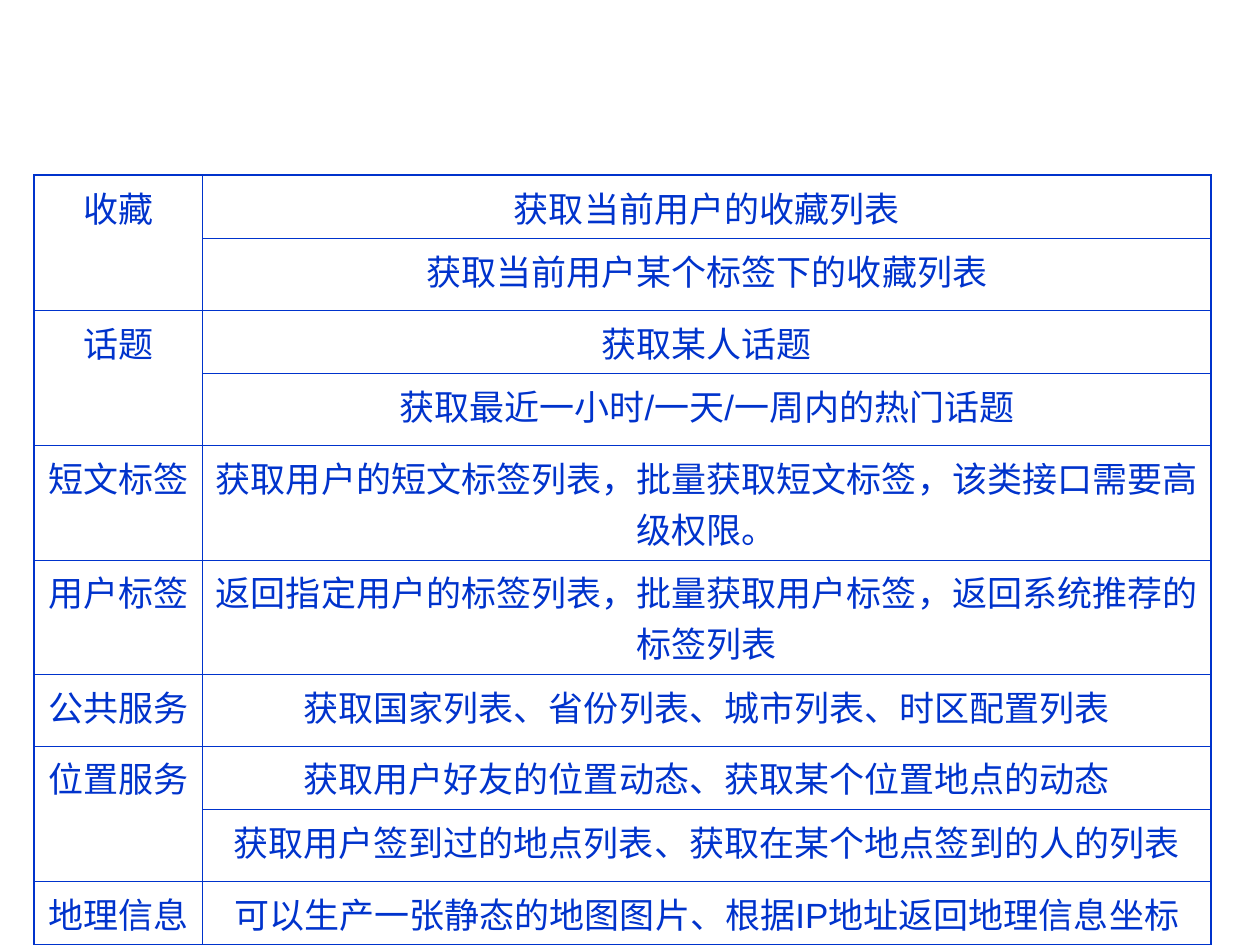
from lxml import etree
from pptx import Presentation
from pptx.dml.color import RGBColor
from pptx.enum.text import PP_ALIGN
from pptx.oxml.ns import qn
from pptx.util import Inches, Pt

CENTER = PP_ALIGN.CENTER
COLORS = {"blue": "0033CC"}
FONT = "Arial"
THIN, THICK = 0.45, 1.08
COLS = [1.34, 8]
ONE, LAST, TWO = 0.44, 0.57, 0.77
GROUPS = [
    ("收藏", [("获取当前用户的收藏列表", ONE),
            ("获取当前用户某个标签下的收藏列表", LAST)]),
    ("话题", [("获取某人话题", ONE),
            ("获取最近一小时/一天/一周内的热门话题", LAST)]),
    ("短文标签", [("获取用户的短文标签列表，批量获取短文标签，该类接口需要高级权限。", TWO)]),
    ("用户标签", [("返回指定用户的标签列表，批量获取用户标签，返回系统推荐的标签列表", TWO)]),
    ("公共服务", [("获取国家列表、省份列表、城市列表、时区配置列表", LAST)]),
    ("位置服务", [("获取用户好友的位置动态、获取某个位置地点的动态", ONE),
              ("获取用户签到过的地点列表、获取在某个地点签到的人的列表", LAST)]),
    ("地理信息", [("可以生产一张静态的地图图片、根据IP地址返回地理信息坐标", ONE)]),
]


def add_edge(cell, side, width):
    props = cell._tc.get_or_add_tcPr()
    line = etree.SubElement(props, qn(f"a:ln{side}"), w=str(int(Pt(width))))
    fill = etree.SubElement(line, qn("a:solidFill"))
    etree.SubElement(fill, qn("a:srgbClr"), val=COLORS["blue"])


def style_cell(cell, row, col, count):
    outer = {"L": col == 0, "R": col == len(COLS) - 1,
             "T": row == 0, "B": row == count - 1}
    for side, edge in outer.items():
        add_edge(cell, side, THICK if edge else THIN)
    cell.fill.background()


def write_cell(cell, text):
    para = cell.text_frame.paragraphs[0]
    para.alignment = CENTER
    para.space_before = Pt(5)
    run = para.add_run()
    run.text = text
    run.font.size = Pt(20)
    run.font.name = FONT
    run.font.color.rgb = RGBColor.from_string(COLORS["blue"])


def add_grid(slide):
    heights = [high for _, items in GROUPS for _, high in items]
    count = len(heights)
    frame = slide.shapes.add_table(
        count, len(COLS), Inches(0.27), Inches(1.39),
        Inches(sum(COLS)), Inches(sum(heights)))
    table = frame.table
    table.first_row = False
    table.horz_banding = False
    for col, width in zip(table.columns, COLS):
        col.width = Inches(width)
    for row, high in enumerate(heights):
        table.rows[row].height = Inches(high)
        for col in range(len(COLS)):
            style_cell(table.cell(row, col), row, col, count)
    return table


def fill_grid(table):
    row = 0
    for name, items in GROUPS:
        head = table.cell(row, 0)
        if len(items) > 1:
            head.merge(table.cell(row + len(items) - 1, 0))
        write_cell(head, name)
        for text, _ in items:
            write_cell(table.cell(row, 1), text)
            row += 1


def main():
    deck = Presentation()
    deck.slide_width, deck.slide_height = Inches(10), Inches(7.5)
    slide = deck.slides.add_slide(deck.slide_layouts[6])
    fill_grid(add_grid(slide))
    deck.save("out.pptx")


if __name__ == "__main__":
    main()
